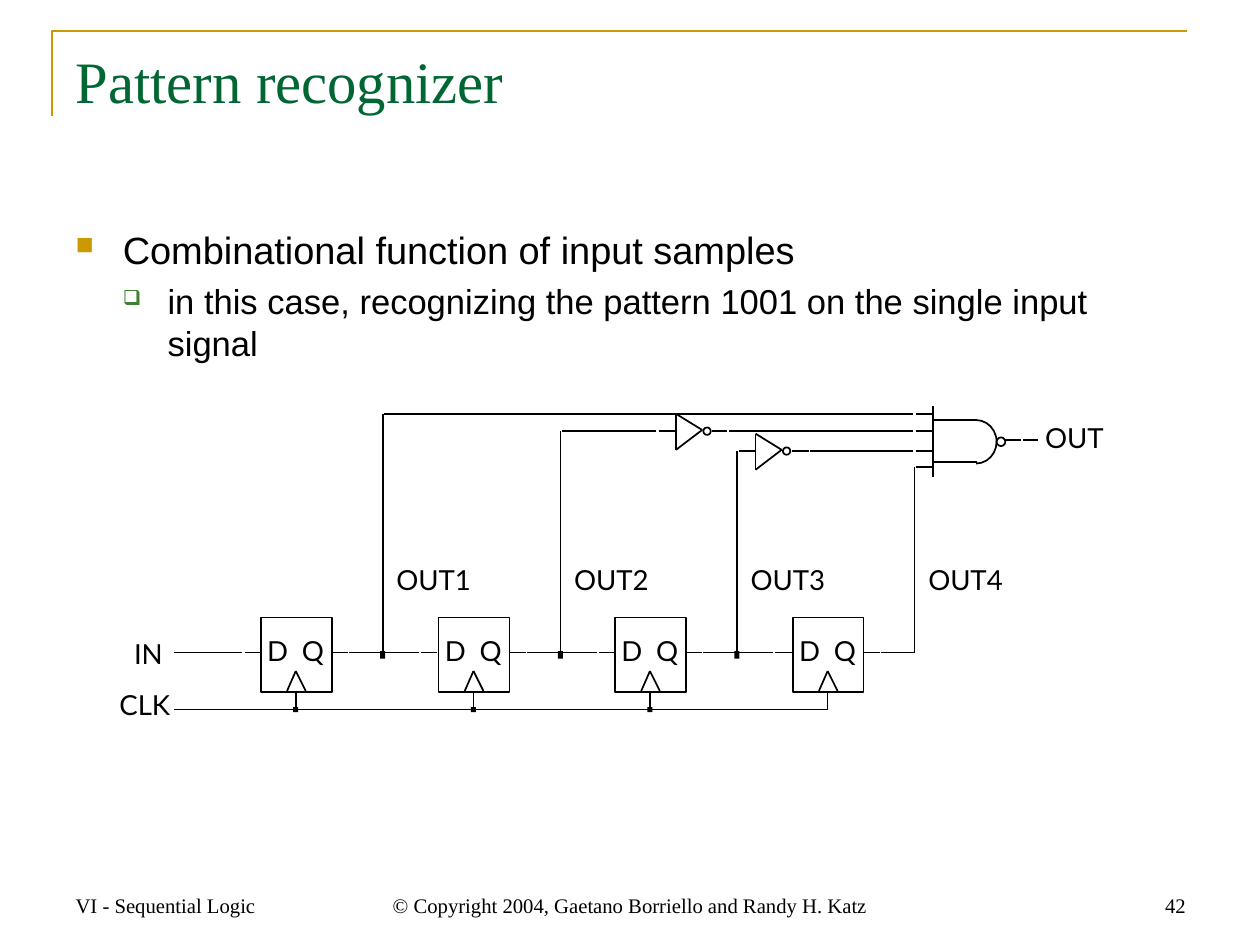
from collections import namedtuple
from itertools import pairwise

from lxml.etree import SubElement
from pptx import Presentation
from pptx.dml.color import RGBColor
from pptx.enum.shapes import MSO_CONNECTOR as Connector, MSO_SHAPE as Shape
from pptx.enum.text import MSO_ANCHOR as Anchor, PP_ALIGN as Align
from pptx.oxml.ns import qn
from pptx.util import Emu, Pt

PX = 9144
BLACK = RGBColor(0x00, 0x00, 0x00)
WHITE = RGBColor(0xFF, 0xFF, 0xFF)
GOLD = RGBColor(0xCC, 0x99, 0x00)
GREEN = RGBColor(0x00, 0x66, 0x33)
LEAF = RGBColor(0x3B, 0x81, 0x2F)
SERIF, SANS, LABEL = "Times New Roman", "Arial", "Lato"

Box = namedtuple("Box", "left top width height")


def px(length):
    """Turn px into EMU."""
    return Emu(round(length * PX))


def inside(box, left, top, width, height):
    """Return a box placed relative to the corner of another."""
    return Box(box.left + left, box.top + top, width, height)


def add_frame(page, box, margins=(10, 5), anchor=Anchor.TOP):
    """Add an empty wrapped text box and return its frame."""
    frame = page.shapes.add_textbox(*map(px, box)).text_frame
    frame.word_wrap = True
    frame.vertical_anchor = anchor
    frame.margin_left = frame.margin_right = px(margins[0])
    frame.margin_top = frame.margin_bottom = px(margins[1])
    return frame


def write(para, text, *, size, font, color=BLACK, align=Align.LEFT,
          spacing=None, before=0, bullet=None):
    """Write formatted text into a paragraph."""
    para.alignment = align
    if spacing:
        para.line_spacing = Pt(spacing)
    if before:
        para.space_before = Pt(before)
    if bullet:
        char, tint, percent, margin, hang = bullet
        props = para._p.get_or_add_pPr()
        props.set("marL", str(px(margin)))
        props.set("indent", str(-px(hang)))
        SubElement(SubElement(props, qn("a:buClr")), qn("a:srgbClr"), val=str(tint))
        SubElement(props, qn("a:buSzPct"), val=str(percent * 1000))
        SubElement(props, qn("a:buChar"), char=char)
    span = para.add_run()
    span.text = text
    span.font.size = Pt(size)
    span.font.name = font
    span.font.color.rgb = color


def add_label(page, box, text, align=Align.LEFT):
    """Add a circuit label."""
    frame = add_frame(page, box, margins=(2, 3))
    write(frame.paragraphs[0], text, size=16, font=LABEL, align=align, spacing=17)


def add_figure(page, kind, box, fill=None, line=BLACK):
    """Add a preset shape with a flat fill and a thin outline."""
    figure = page.shapes.add_shape(kind, *map(px, box))
    figure.shadow.inherit = False
    if fill is None:
        figure.fill.background()
    else:
        figure.fill.solid()
        figure.fill.fore_color.rgb = fill
    if line is None:
        figure.line.fill.background()
    else:
        figure.line.color.rgb = line
        figure.line.width = Pt(1)
    return figure


def add_wire(page, box, *points):
    """Join points, given relative to the box, by straight wires."""
    for (x1, y1), (x2, y2) in pairwise(points):
        ends = (box.left + x1, box.top + y1, box.left + x2, box.top + y2)
        wire = page.shapes.add_connector(Connector.STRAIGHT, *map(px, ends))
        wire.line.color.rgb = BLACK
        wire.line.width = Pt(1)
        SubElement(wire._element.spPr, qn("a:effectLst"))


def add_header(page, box):
    """Draw the corner rule and the title."""
    builder = page.shapes.build_freeform(box.left, box.top + 68, scale=PX)
    builder.add_line_segments(
        [(box.left, box.top), (box.left + box.width, box.top)], close=False)
    rule = builder.convert_to_shape()
    rule.shadow.inherit = False
    rule.fill.background()
    rule.line.color.rgb = GOLD
    rule.line.width = Pt(1.5)
    frame = add_frame(page, inside(box, 9, 6, box.width - 1, box.height))
    write(frame.paragraphs[0], "Pattern recognizer", size=34, font=SERIF, color=GREEN)


def add_body(page, box):
    """Write the bullets."""
    frame = add_frame(page, box)
    write(frame.paragraphs[0], "Combinational function of input samples",
          size=22, font=SANS, bullet=("■", GOLD, 65, 38, 38))
    write(frame.add_paragraph(),
          "in this case, recognizing the pattern 1001 on the single input signal",
          size=20, font=SANS, before=5, bullet=("❑", LEAF, 60, 74, 36))


def add_footer(page, box):
    """Write the three footer texts."""
    for left, width, text, align in (
        (0, 237, "VI - Sequential Logic", Align.LEFT),
        (245, 422, "© Copyright 2004, Gaetano Borriello and Randy H. Katz", Align.CENTER),
        (676, 237, "42", Align.RIGHT),
    ):
        frame = add_frame(page, inside(box, left, 0, width, box.height), anchor=Anchor.BOTTOM)
        write(frame.paragraphs[0], text, size=12, font=SERIF, align=align)


def add_inverter(page, box):
    """Draw a triangle with an output bubble."""
    middle = box.height // 2 - 1
    add_wire(page, box, (0, 0), (21, middle), (0, box.height), (0, 0))
    add_figure(page, Shape.OVAL, inside(box, 22, middle - 2, 6, 6), WHITE)


def add_gate(page, box):
    """Draw the four-input gate with its bubble and output."""
    add_wire(page, box, (0, 0), (0, box.height))
    for y in (11, 45):
        add_wire(page, box, (0, y), (35, y))
    curve = add_figure(page, Shape.ARC, inside(box, 18, 11, 33, 35))
    curve.adjustments[1] = 54
    add_figure(page, Shape.OVAL, inside(box, 51, 25, 7, 7), WHITE)
    add_wire(page, box, (58, 27), (71, 27))
    add_wire(page, box, (72, 27), (84, 27))
    add_label(page, inside(box, 88, 12, 87, 37), "OUT")


def add_flip_flop(page, box):
    """Draw one D flip-flop with its clock stub."""
    add_figure(page, Shape.RECTANGLE, box, WHITE)
    add_wire(page, box, (21, 59), (28, 43), (36, 59))
    add_wire(page, box, (28, 59), (28, 74))
    for left, text in ((3, "D"), (31, "Q")):
        add_label(page, inside(box, left, 13, 28, 37), text)


def add_circuit(page, box):
    """Draw the shift register and the logic that reads its taps."""
    data, clock, gate = 198, 244, 676
    rows = (6, 20, 36, 49)
    stages = [135 + round(428 * i / 3) for i in range(4)]

    for i, (stage, row) in enumerate(zip(stages, rows)):
        tap = stage + 98
        add_flip_flop(page, inside(box, stage, 170, 57, 60))
        add_label(page, inside(box, stage + 107, 126, 80, 37), f"OUT{i + 1}")
        add_wire(page, box, (stage + 57, data), (stage + 70, data))
        add_wire(page, box, (stage + 71, data), (tap, data), (tap, row))
        add_wire(page, box, (gate - 14, row), (gate, row))
        if stage != stages[-1]:
            add_wire(page, box, (tap + 1, data), (stage + 127, data))
            add_wire(page, box, (stage + 129, data), (stage + 142, data))
            for dot in ((tap - 2, data - 1, 4, 6), (stage + 26, clock - 2, 4, 4)):
                add_figure(page, Shape.RECTANGLE, inside(box, *dot), BLACK, None)

    for row, *runs in (
        (rows[0], (234, 660)),
        (rows[1], (377, 453), (455, 469), (498, 510), (512, 660)),
        (rows[2], (520, 533), (562, 576), (577, 660)),
        (data, (65, 120), (122, 134)),
        (clock, (65, stages[-1] + 28)),
    ):
        for start, end in runs:
            add_wire(page, box, (start, row), (end, row))

    for left, row in ((469, rows[1]), (533, rows[2])):
        add_inverter(page, inside(box, left, row - 14, 28, 29))
    add_gate(page, inside(box, gate, 0, 175, 57))
    add_label(page, inside(box, 0, 186, 58, 37), "IN", Align.RIGHT)
    add_label(page, inside(box, 8, 227, 56, 37), "CLK", Align.RIGHT)


def main():
    """Build and save the deck."""
    deck = Presentation()
    deck.slide_width, deck.slide_height = Pt(730), Pt(547.5)
    deck.element.sldSz.attrib.pop("type", None)
    page = deck.slides.add_slide(deck.slide_layouts[6])
    add_header(page, Box(42, 25, 913, 126))
    add_body(page, Box(51, 177, 912, 502))
    add_circuit(page, Box(75, 327, 851, 264))
    add_footer(page, Box(51, 692, 913, 51))
    deck.save("out.pptx")


if __name__ == "__main__":
    main()
